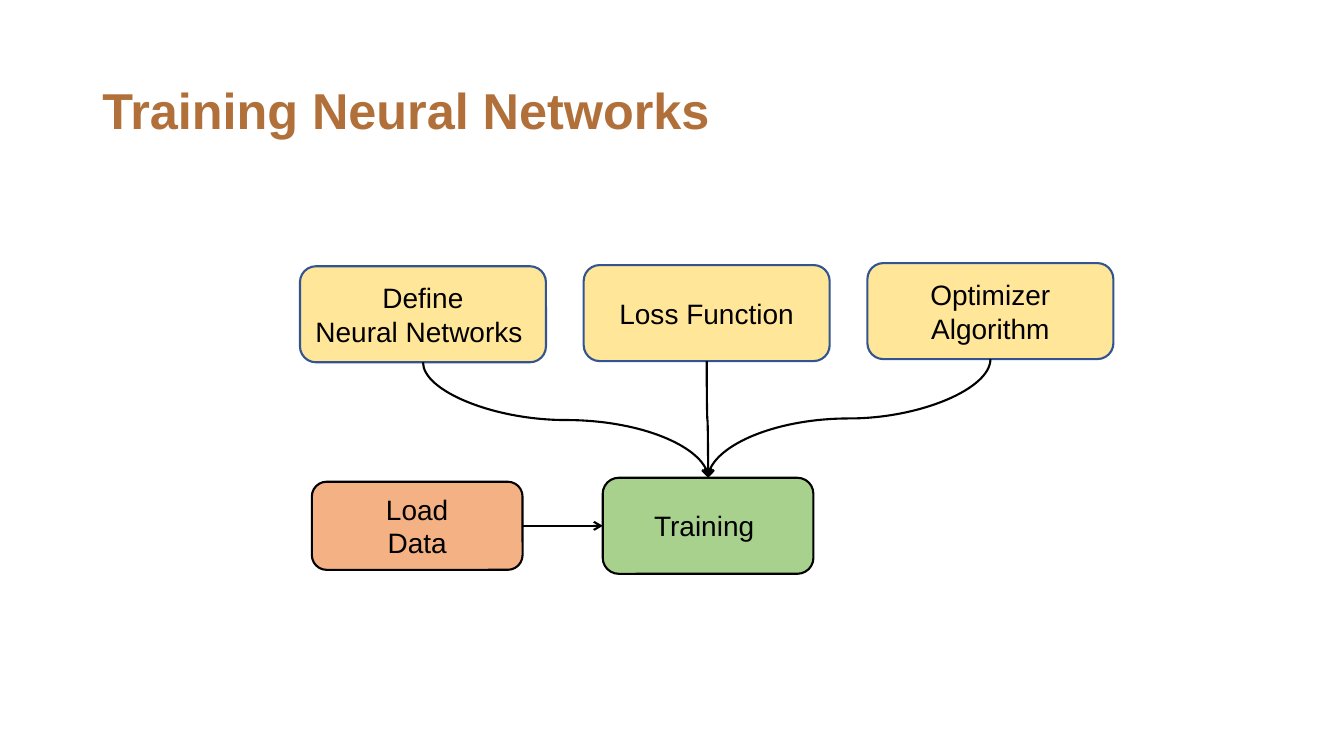
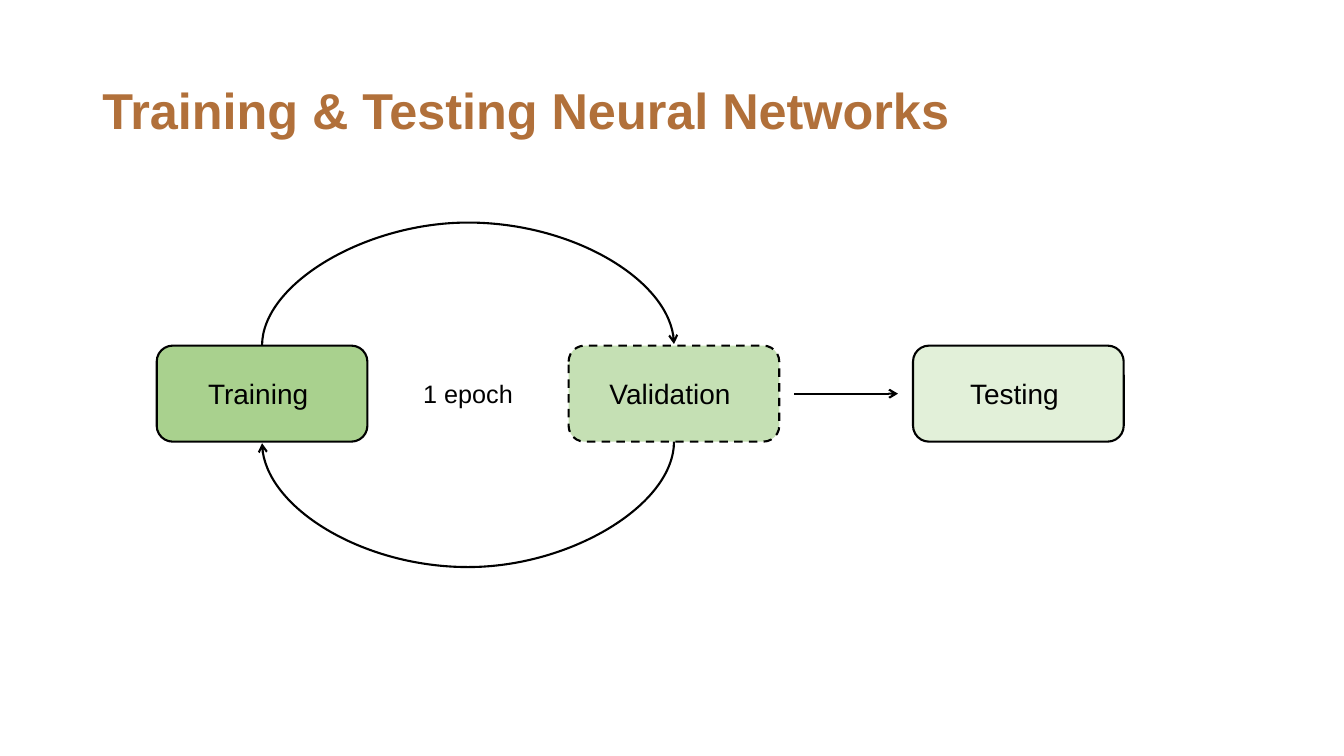
import pptx
import pptx.util
import pptx.dml.color
import pptx.enum.dml
import pptx.enum.shapes
import pptx.enum.text
import pptx.oxml.ns
import lxml.etree

Cm, Pt = pptx.util.Cm, pptx.util.Pt
qn = pptx.oxml.ns.qn
SHAPE = pptx.enum.shapes.MSO_SHAPE
CONNECTOR = pptx.enum.shapes.MSO_CONNECTOR
ALIGN = pptx.enum.text.PP_ALIGN
ANCHOR = pptx.enum.text.MSO_ANCHOR

# Shared style
FONT = "Arial"
LINE_WIDTH = Pt(1.5)
COLORS = {
    "title": "B1703A",
    "black": "000000",
    "blue": "325491",
    "yellow": "FFE699",
    "orange": "F4B183",
    "green": "A9D18E",
    "light_green": "C5E0B4",
    "pale_green": "E2F0D9",
}
TOP, LEFT, BOTTOM, RIGHT = range(4)
STEP_W, STEP_H = 5.31, 2.42


def rgb(name):
    return pptx.dml.color.RGBColor.from_string(COLORS[name])


# Text
def write(tf, text, size=20, color="black", bold=False, align=ALIGN.CENTER,
          anchor=ANCHOR.MIDDLE, spacing=None):
    tf.word_wrap = True
    tf.vertical_anchor = anchor
    for i, line in enumerate(text.split("\n")):
        p = tf.paragraphs[0] if i == 0 else tf.add_paragraph()
        p.alignment = align
        p.line_spacing = spacing
        r = p.add_run()
        r.text = line
        r.font.name = FONT
        r.font.size = Pt(size)
        r.font.bold = bold
        r.font.color.rgb = rgb(color)


def add_text(s, text, x, y, w, h, **fmt):
    sp = s.shapes.add_textbox(Cm(x), Cm(y), Cm(w), Cm(h))
    write(sp.text_frame, text, **fmt)


def add_titled_slide(prs, title):
    s = prs.slides.add_slide(prs.slide_layouts[6])
    add_text(s, title, 2.33, 1.02, 29.21, 3.68, size=36, color="title",
             bold=True, align=ALIGN.LEFT, spacing=0.9)
    return s


# Boxes
def add_box(s, text, x, y, fill, w=STEP_W, h=STEP_H, line="black", dashed=False):
    sp = s.shapes.add_shape(SHAPE.ROUNDED_RECTANGLE, Cm(x), Cm(y), Cm(w), Cm(h))
    sp.shadow.inherit = False
    sp.fill.solid()
    sp.fill.fore_color.rgb = rgb(fill)
    sp.line.color.rgb = rgb(line)
    sp.line.width = LINE_WIDTH
    if dashed:
        sp.line.dash_style = pptx.enum.dml.MSO_LINE.DASH
    write(sp.text_frame, text)
    return sp


# Arrows
def style_arrow(cxn):
    cxn.line.color.rgb = rgb("black")
    cxn.line.width = LINE_WIDTH
    spPr = cxn._element.spPr
    lxml.etree.SubElement(spPr.find(qn("a:ln")), qn("a:tailEnd"), type="arrow")
    lxml.etree.SubElement(spPr, qn("a:effectLst"))


def add_arrow(s, x1, y1, x2, y2):
    cxn = s.shapes.add_connector(CONNECTOR.STRAIGHT, Cm(x1), Cm(y1), Cm(x2), Cm(y2))
    style_arrow(cxn)
    return cxn


def add_curve(s, start, start_side, end, end_side, reach=None):
    """Curve that leaves vertically; reach is how far it bulges, for a loop."""
    cxn = s.shapes.add_connector(CONNECTOR.CURVE, 0, 0, 0, 0)
    cxn.begin_connect(start, start_side)
    cxn.end_connect(end, end_side)
    x1, y1, x2, y2 = cxn.begin_x, cxn.begin_y, cxn.end_x, cxn.end_y
    if reach:
        # A loop between level sides needs a sliver of height to scale its bulge
        y2 = y1 + Cm(0.04) * (-1 if start_side == TOP else 1)
    dx, dy = x2 - x1, y2 - y1

    # Turned a quarter, so width and height swap around the same centre
    cxn.width, cxn.height = abs(dy), abs(dx)
    cxn.left = (x1 + x2 - abs(dy)) // 2
    cxn.top = (y1 + y2 - abs(dx)) // 2
    xfrm = cxn._element.spPr.find(qn("a:xfrm"))
    xfrm.set("rot", str(90 * 60000))
    xfrm.set("flipH", str(int(dy < 0)))
    xfrm.set("flipV", str(int(dx > 0)))

    bend = Cm(reach) / abs(dy) if reach else 0.5
    avLst = cxn._element.spPr.find(qn("a:prstGeom")).find(qn("a:avLst"))
    lxml.etree.SubElement(avLst, qn("a:gd"), name="adj1",
                          fmla=f"val {round(bend * 100000)}")
    style_arrow(cxn)


# Slides
def build_training(prs):
    s = add_titled_slide(prs, "Training Neural Networks")
    load = add_box(s, "Load\nData", 7.86, 12.14, "orange", h=2.22)
    training = add_box(s, "Training ", 15.19, 12.04, "green")
    cxn = add_arrow(s, 0, 0, 0, 0)
    cxn.begin_connect(load, RIGHT)
    cxn.end_connect(training, LEFT)

    inputs = [("Define\nNeural Networks ", 6.71),
              ("Loss Function", 6.68),
              ("Optimizer\nAlgorithm", 6.63)]
    for i, (text, y) in enumerate(inputs):
        box = add_box(s, text, 7.56 + 7.15 * i, y, "yellow", w=6.2, line="blue")
        add_curve(s, box, BOTTOM, training, TOP)


def build_testing(prs):
    s = add_titled_slide(prs, "Training & Testing Neural Networks")
    y = 8.71
    training = add_box(s, "Training ", 3.95, y, "green")
    validation = add_box(s, "Validation ", 14.33, y, "light_green", dashed=True)
    add_box(s, "Testing ", 23.01, y, "pale_green")

    add_curve(s, training, TOP, validation, TOP, reach=3.1)
    add_curve(s, validation, BOTTOM, training, BOTTOM, reach=3.16)
    add_text(s, "1 epoch", 9.65, 9.4, 4.29, 1.02, size=18, anchor=ANCHOR.TOP)
    middle = y + STEP_H / 2
    add_arrow(s, 20.02, middle, 22.63, middle)


def main():
    prs = pptx.Presentation()
    prs.slide_width, prs.slide_height = Cm(33.87), Cm(19.05)
    build_training(prs)
    build_testing(prs)
    prs.save("out.pptx")


if __name__ == "__main__":
    main()
